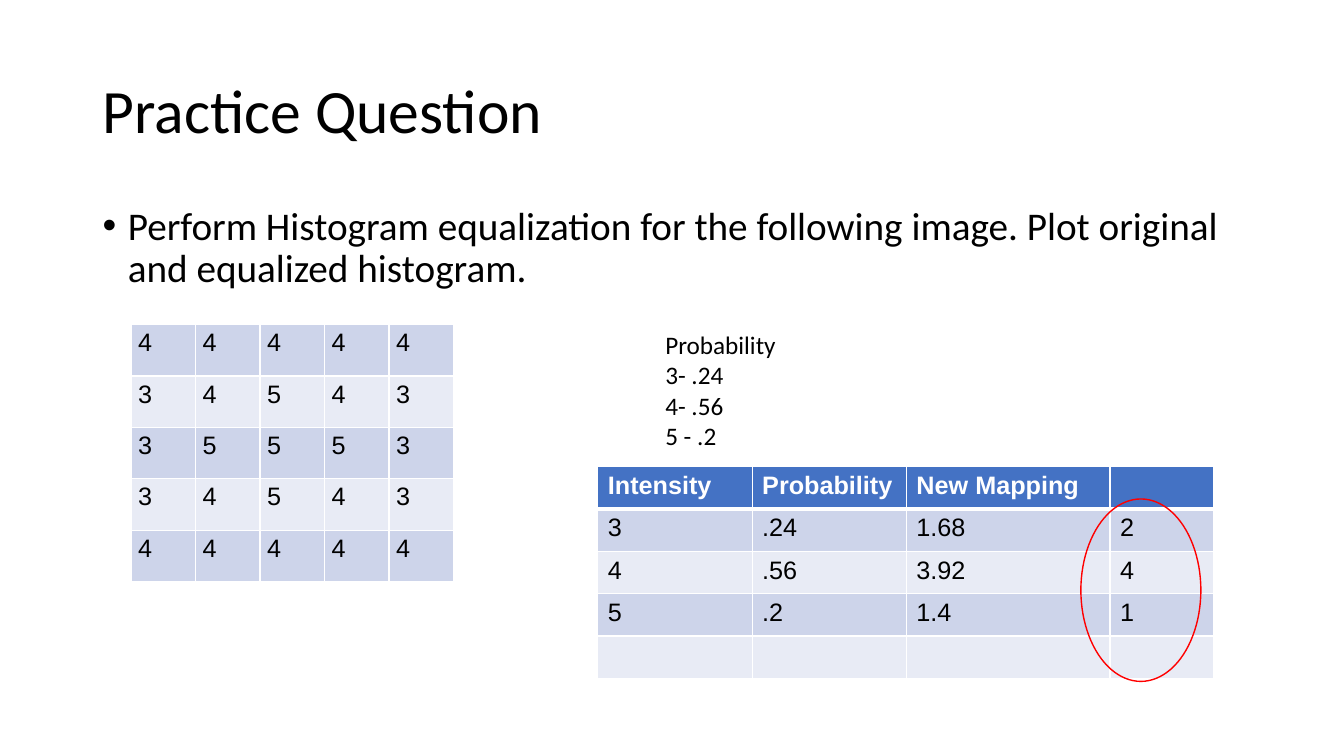
"""Build the histogram equalization practice question slide."""
import pptx
import pptx.dml.color
import pptx.enum.shapes
import pptx.enum.text
import pptx.oxml
import pptx.oxml.ns
import pptx.util
from lxml import etree

Inches, Pt = pptx.util.Inches, pptx.util.Pt
RGB = pptx.dml.color.RGBColor.from_string
qn = pptx.oxml.ns.qn

THEME = {
    "text": "000000", "light": "FFFFFF", "header": "4472C4", "ring": "FF0000",
    "bands": ("CDD4EA", "E8EBF5"),
    "heading_font": "Calibri", "table_font": "Arial",
    "title": 44, "body": 28, "small": 18,
}


def add_text(box, lines, size, spacing=1.0):
    """Add a text box with one paragraph per line."""
    tf = s.shapes.add_textbox(*map(Inches, box)).text_frame
    tf.word_wrap = True
    tf.text = "\n".join(lines)
    for p in tf.paragraphs:
        p.line_spacing = spacing
        p.font.size = Pt(size)
        p.font.name = THEME["heading_font"]
        p.font.color.rgb = RGB(THEME["text"])
    return tf


def add_grid(left, top, widths, row_height, rows, margins, spacing, header):
    """Add a banded table with white rules."""
    tbl = s.shapes.add_table(len(rows), len(widths), Inches(left), Inches(top),
                             Inches(sum(widths)), Inches(row_height * len(rows))).table
    tbl.first_row = header
    for column, width in zip(tbl.columns, widths):
        column.width = Inches(width)
    for i, values in enumerate(rows):
        tbl.rows[i].height = Inches(row_height)
        is_header = header and i == 0
        fill = THEME["header"] if is_header else THEME["bands"][(i - header) % 2]
        for j, value in enumerate(values):
            cell = tbl.cell(i, j)
            cell.margin_left = cell.margin_right = Inches(margins[0])
            cell.margin_top = cell.margin_bottom = Inches(margins[1])
            tcPr = cell._tc.get_or_add_tcPr()
            for side in "LRTB":
                thick = is_header and side == "B" or header and i == 1 and side == "T"
                ln = etree.SubElement(tcPr, qn(f"a:ln{side}"), w=str(Pt(3 if thick else 1)))
                solid = etree.SubElement(ln, qn("a:solidFill"))
                etree.SubElement(solid, qn("a:srgbClr"), val=THEME["light"])
            cell.fill.solid()
            cell.fill.fore_color.rgb = RGB(fill)
            cell.text = value
            p = cell.text_frame.paragraphs[0]
            p.line_spacing = spacing
            p.font.size = Pt(THEME["small"])
            p.font.name = THEME["table_font"]
            p.font.bold = is_header
            p.font.color.rgb = RGB(THEME["light" if is_header else "text"])


prs = pptx.Presentation()
prs.slide_width, prs.slide_height = Inches(13.33), Inches(7.5)
s = prs.slides.add_slide(prs.slide_layouts[6])

title = add_text((0.92, 0.4, 11.5, 1.45), ["Practice Question"], THEME["title"], 0.9)
title.vertical_anchor = pptx.enum.text.MSO_ANCHOR.MIDDLE

task = add_text((0.92, 2, 11.5, 4.76),
                ["Perform Histogram equalization for the following image. "
                 "Plot original and equalized histogram."], THEME["body"], 0.9)
pPr = task.paragraphs[0]._p.get_or_add_pPr()
pPr.set("marL", str(Inches(0.25)))
pPr.set("indent", str(-Inches(0.25)))
bullet_font = pptx.oxml.parse_xml(
    f'<a:buFont {pptx.oxml.ns.nsdecls("a")} typeface="{THEME["table_font"]}"/>')
bullet = pptx.oxml.parse_xml(f'<a:buChar {pptx.oxml.ns.nsdecls("a")} char="•"/>')
defaults = pPr.find(qn("a:defRPr"))
defaults.addprevious(bullet_font)
defaults.addprevious(bullet)

pixels = ["44444", "34543", "35553", "34543", "44444"]
add_grid(1.3, 3.22, [0.64] * 5, 0.51, pixels, (0.07, 0), 1.15, False)

add_text((6.5, 3.22, 3.89, 1.31), ["Probability", "3- .24", "4- .56", "5 - .2"],
         THEME["small"])

mapping = [
    ("Intensity", "Probability", "New Mapping", ""),
    ("3", ".24", "1.68", "2"),
    ("4", ".56", "3.92", "4"),
    ("5", ".2", "1.4", "1"),
    ("", "", "", ""),
]
add_grid(5.93, 4.63, [1.53, 1.53, 2.02, 1.03], 0.42, mapping, (0.1, 0.05), 1.0, True)

ring = s.shapes.add_shape(pptx.enum.shapes.MSO_SHAPE.OVAL, Inches(10.72), Inches(4.95),
                          Inches(1.19), Inches(1.81))
ring.shadow.inherit = False
ring.fill.background()
ring.line.color.rgb = RGB(THEME["ring"])
ring.line.width = Pt(1)

prs.save("out.pptx")
